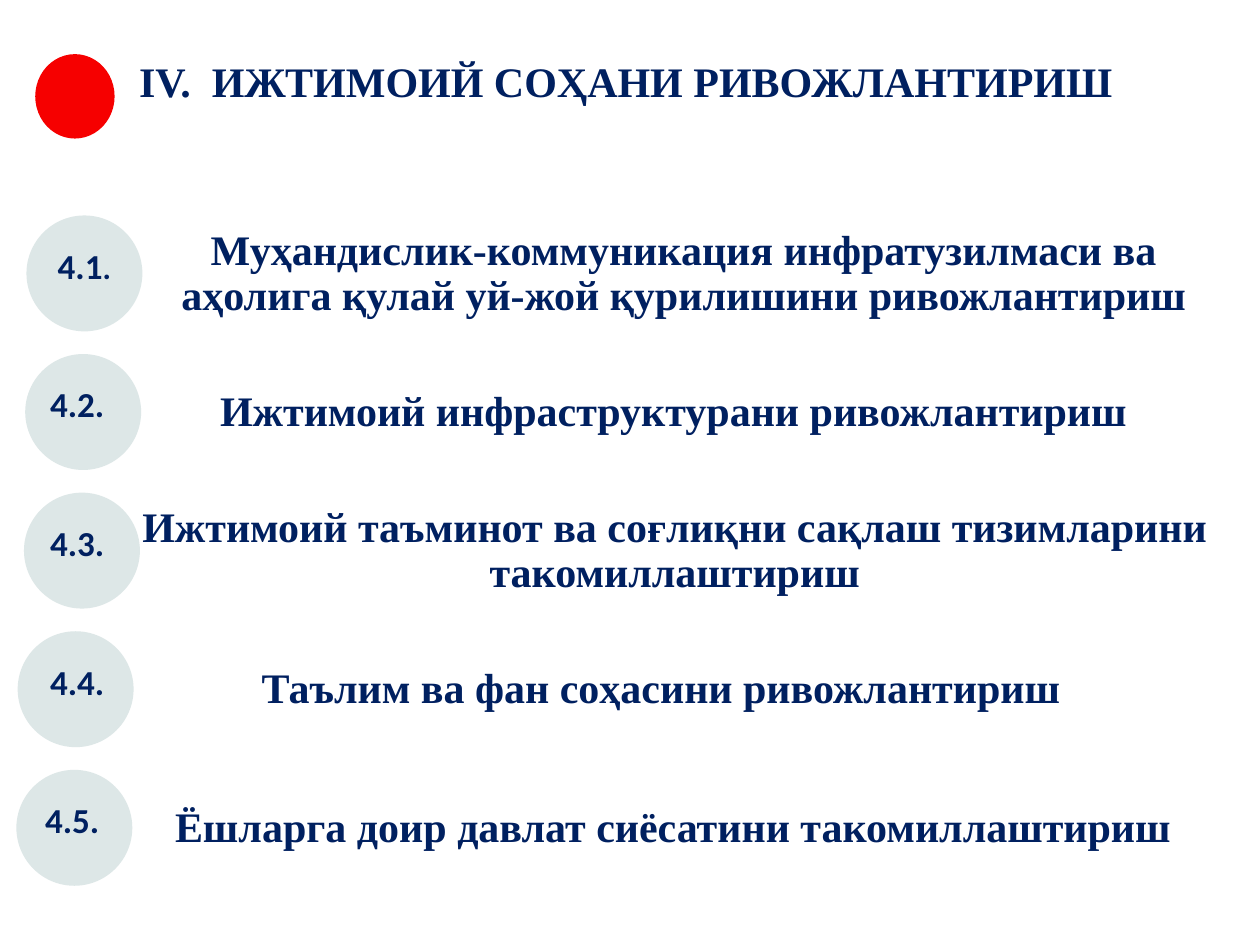
from dataclasses import dataclass

from pptx import Presentation
from pptx import util as u
from pptx.dml.color import RGBColor
from pptx.enum import shapes, text


@dataclass(frozen=True)
class Theme:
    ink: str = "002060"
    disc: str = "DDE7E7"
    accent: str = "F60000"
    body_font: str = "Times New Roman"
    number_font: str = "Calibri"
    body_size: int = 24
    number_size: int = 20
    dot_size: int = 18


class Builder:
    def __init__(self, s, theme):
        self.s = s
        self.theme = theme

    def ellipse(self, x, y, w, h, color):
        sp = self.s.shapes.add_shape(shapes.MSO_SHAPE.OVAL, *map(u.Inches, (x, y, w, h)))
        sp.shadow.inherit = False
        sp.fill.solid()
        sp.fill.fore_color.rgb = RGBColor.from_string(color)
        sp.line.fill.background()

    def textbox(self, x, y, w, h, wrap=True):
        tf = self.s.shapes.add_textbox(*map(u.Inches, (x, y, w, h))).text_frame
        tf.word_wrap = wrap
        return tf

    def style(self, font, name, size):
        font.name = name
        font.size = u.Pt(size)
        font.bold = True
        font.color.rgb = RGBColor.from_string(self.theme.ink)

    def heading(self, x, y, w, h, words):
        tf = self.textbox(x, y, w, h)
        tf.vertical_anchor = text.MSO_ANCHOR.MIDDLE
        p = tf.paragraphs[0]
        p.text = words
        p.alignment = text.PP_ALIGN.CENTER
        self.style(p.font, self.theme.body_font, self.theme.body_size)
        return tf

    def item(self, x, y, w, h, words, indent):
        tf = self.heading(x, y, w, h, words)
        tf.margin_left = u.Inches(indent)
        tf.margin_right = tf.margin_top = tf.margin_bottom = u.Inches(0.07)
        tf.paragraphs[0].line_spacing = 0.9

    def number(self, x, y, label, dot_size, wrap):
        tf = self.textbox(x, y, 0.74, 0.44, wrap)
        tf.auto_size = text.MSO_AUTO_SIZE.SHAPE_TO_FIT_TEXT
        p = tf.paragraphs[0]
        self.style(p.font, self.theme.number_font, self.theme.number_size)
        p.add_run().text = label
        r = p.add_run()
        r.text = "."
        r.font.size = u.Pt(dot_size)


ITEMS = [
    ("Муҳандислик-коммуникация инфратузилмаси ва аҳолига қулай уй-жой қурилишини ривожлантириш",
     0.68, 8.98, 0.58, 0.21, 0.36),
    ("Ижтимоий инфраструктурани ривожлантириш", 0.71, 8.95, 0.39, 0.2, 0.3),
    ("Ижтимоий таъминот ва соғлиқни сақлаш тизимларини такомиллаштириш",
     0.66, 9.03, 0.43, 0.19, 0.3),
    ("Таълим ва фан соҳасини ривожлантириш", 0.49, 9.19, 0.39, 0.14, 0.3),
    ("Ёшларга доир давлат сиёсатини такомиллаштириш", 0.49, 9.19, 0.58, 0.13, 0.26),
]
PITCH = 1.1


def main():
    prs = Presentation()
    prs.slide_width, prs.slide_height = u.Inches(10), u.Inches(7.5)
    theme = Theme()
    b = Builder(prs.slides.add_slide(prs.slide_layouts[6]), theme)

    b.heading(0.2, 0.13, 9.45, 1.02, " IV.\u00a0 ИЖТИМОИЙ СОҲАНИ РИВОЖЛАНТИРИШ".replace("\u00a0", chr(160)))
    for i, (words, x, w, indent, disc_x, number_x) in enumerate(ITEMS):
        dy = i * PITCH
        first = i == 0
        b.item(x, 1.73 + dy, w, 0.89, words, indent)
        b.ellipse(disc_x, 1.71 + dy, 0.92, 0.92, theme.disc)
        b.number(number_x, 1.89 + dy, f"4.{i + 1}",
                 theme.dot_size if first else theme.number_size, first)
    b.ellipse(0.28, 0.43, 0.63, 0.67, theme.accent)

    prs.save("out.pptx")


if __name__ == "__main__":
    main()
